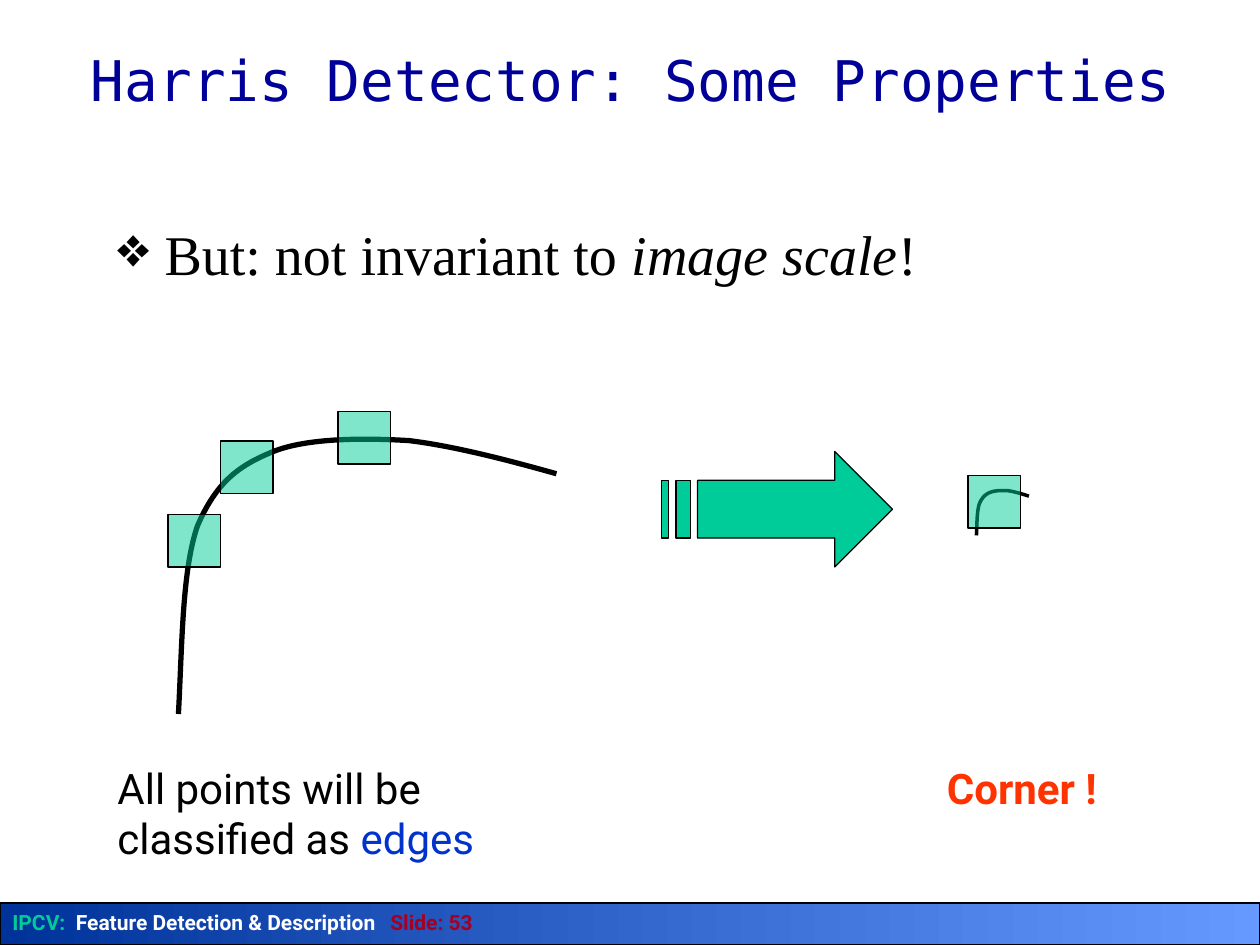
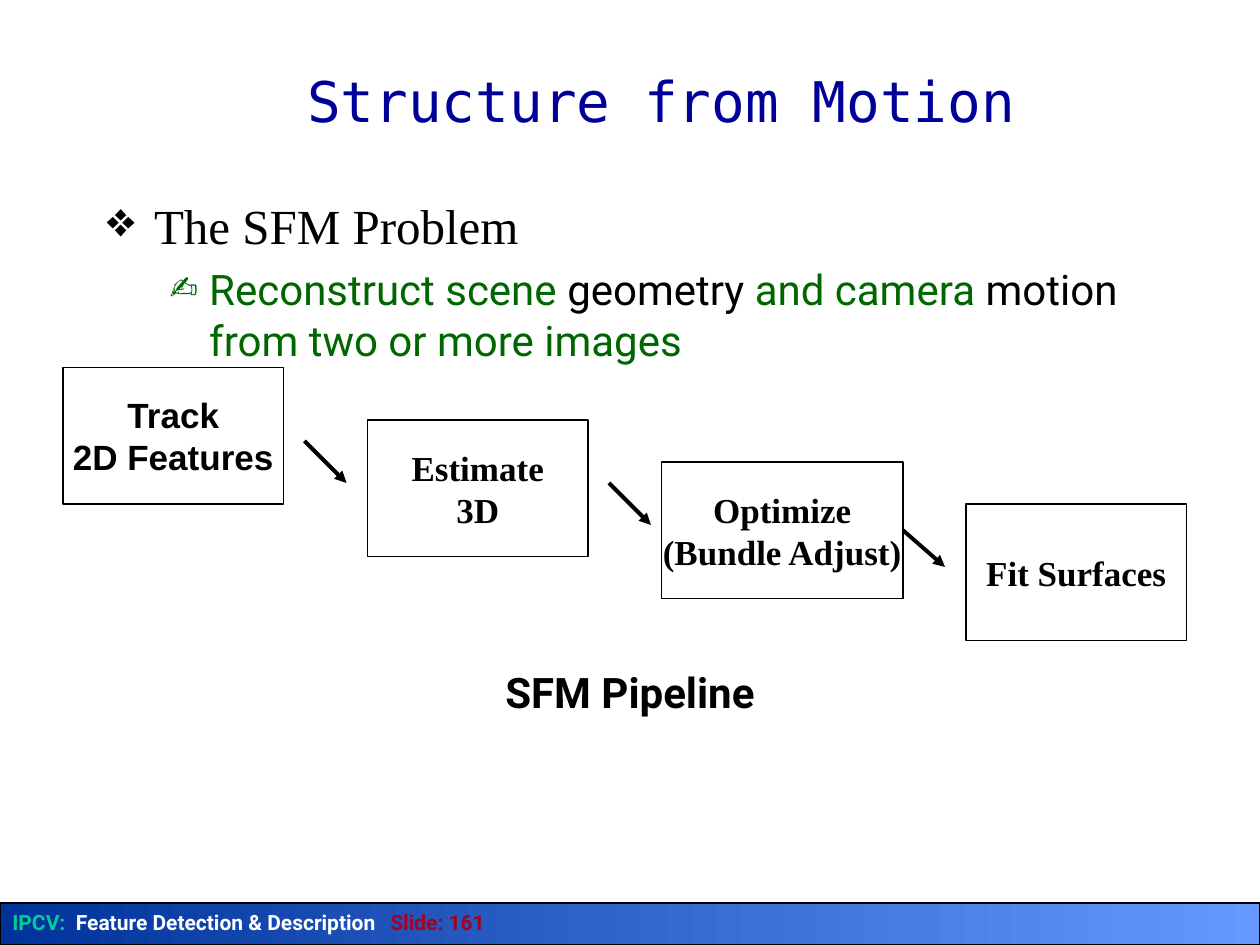
import dataclasses

import lxml.etree
import pptx
import pptx.dml.color
import pptx.enum.shapes
import pptx.enum.text
import pptx.oxml.ns
import pptx.util

qn = pptx.oxml.ns.qn
Pt = pptx.util.Pt
Align = pptx.enum.text.PP_ALIGN
Anchor = pptx.enum.text.MSO_ANCHOR

CURVE = [(0, 1), (.01, .74), (.01, .48), (.05, .32), (.1, .16), (.16, .1), (.25, .05),
         (.34, 0), (.49, 0), (.61, .01), (.73, .03), (.87, .08), (1, .13)]
ARROW = [(24, 0), (24, 1), (5, 1), (5, 3), (24, 3), (24, 4), (32, 2)]
STRIPES = [[(a, 1), (a, 3), (b, 3), (b, 1)] for a, b in ((2, 4), (0, 1))]


@dataclasses.dataclass(frozen=True)
class Theme:
    """Colours, faces and type sizes of the deck."""
    black: str = "000000"
    white: str = "FFFFFF"
    navy: str = "000099"
    deep: str = "003399"
    sky: str = "6699FF"
    mint: str = "00CC99"
    wine: str = "A50021"
    blue: str = "0033CC"
    red: str = "FF3300"
    green: str = "006600"
    mono: str = "DejaVu Sans Mono"
    sans: str = "Roboto"
    serif: str = "Times New Roman"
    plain: str = "Arial"
    huge: int = 32
    large: int = 28
    body: int = 24
    label: int = 20
    small: int = 12


class Deck:
    """Draws on a grid of 120 columns by 90 rows."""

    def __init__(self, theme):
        """Open a blank deck."""
        self.theme = theme
        self.show = pptx.Presentation()
        self.show.slide_width = pptx.util.Inches(10)
        self.show.slide_height = pptx.util.Inches(7.5)
        self.unit = self.show.slide_width // 120
        self.slide = None

    def span(self, *cells):
        """Turn grid cells into lengths."""
        return [round(cell * self.unit) for cell in cells]

    def tint(self, color):
        """Turn a hex code into a colour."""
        return pptx.dml.color.RGBColor.from_string(color)

    def page(self, title, box, number):
        """Start a slide with its title and footer."""
        self.slide = self.show.slides.add_slide(self.show.slide_layouts[5])
        head = self.slide.shapes.title
        head.left, head.top, head.width, head.height = self.span(*box)
        head.text_frame.auto_size = pptx.enum.text.MSO_AUTO_SIZE.NONE
        head.text_frame.vertical_anchor = Anchor.MIDDLE
        t = self.theme
        self.word(head.text_frame.paragraphs[0], [(title, t.navy)], t.huge, t.mono,
                  align=Align.CENTER)
        self.footer(number)

    def footer(self, number):
        """Draw the band at the foot of the slide."""
        t = self.theme
        band = self.block((0, 86, 120, 4), t.deep)
        band.fill.gradient()
        band.fill.gradient_angle = 0
        for stop, color, place in zip(band.fill.gradient_stops, (t.deep, t.sky), (0, 1)):
            stop.color.rgb = self.tint(color)
            stop.position = place
        band.text_frame.vertical_anchor = Anchor.TOP
        parts = [("IPCV: ", t.mint), (" Feature Detection & Description\t", t.white),
                 (f"Slide: {number}", t.wine)]
        self.word(band.text_frame.paragraphs[0], parts, t.small, t.sans, bold=True)

    def word(self, para, parts, size, face, bold=False, align=Align.LEFT,
             bullet=None, indent=(0, 0), space=0):
        """Fill a paragraph with (text, colour[, italic]) parts."""
        para.alignment = align
        if space:
            para.space_before = Pt(space)
        if bullet:
            props = para._p.get_or_add_pPr()
            left, hang = self.span(*indent)
            props.set("marL", str(left))
            props.set("indent", str(hang))
            lxml.etree.SubElement(props, qn("a:buChar")).set("char", bullet)
        font = para.font
        font.size, font.name, font.bold = Pt(size), face, bold
        colors = {part[1] for part in parts}
        if len(colors) == 1:
            font.color.rgb = self.tint(parts[0][1])
        for text, color, *slant in parts:
            run = para.add_run()
            run.text = text
            if len(colors) > 1:
                run.font.color.rgb = self.tint(color)
            if slant:
                run.font.italic = True

    def text(self, box, *paras):
        """Add a text box; each paragraph is a dict for word."""
        frame = self.slide.shapes.add_textbox(*self.span(*box)).text_frame
        frame.word_wrap = True
        for i, para in enumerate(paras):
            self.word(frame.add_paragraph() if i else frame.paragraphs[0], **para)

    def ink(self, shape, fill, width):
        """Set the fill and outline of a shape."""
        shape.shadow.inherit = False
        if fill:
            shape.fill.solid()
            shape.fill.fore_color.rgb = self.tint(fill)
        else:
            shape.fill.background()
        shape.line.color.rgb = self.tint(self.theme.black)
        shape.line.width = Pt(width)

    def block(self, box, fill, width=.75, alpha=None):
        """Add a rectangle."""
        kind = pptx.enum.shapes.MSO_SHAPE.RECTANGLE
        shape = self.slide.shapes.add_shape(kind, *self.span(*box))
        self.ink(shape, fill, width)
        if alpha:
            color = shape._element.spPr.find(f"{qn('a:solidFill')}/{qn('a:srgbClr')}")
            lxml.etree.SubElement(color, qn("a:alpha")).set("val", str(alpha * 1000))
        return shape

    def stage(self, box, lines, face):
        """Add a labelled step of a pipeline."""
        t = self.theme
        shape = self.block(box, t.white, 1)
        frame = shape.text_frame
        frame.word_wrap = False
        frame.vertical_anchor = Anchor.MIDDLE
        for i, line in enumerate(lines):
            para = frame.add_paragraph() if i else frame.paragraphs[0]
            self.word(para, [(line, t.black)], t.label, face, True, Align.CENTER)
        return shape

    def free(self, box, paths, grid=(1, 1), fill=None, width=.75, close=True):
        """Add an outline given on a small grid inside the box."""
        x, y, w, h = box
        paths = [[self.span(x + w * a / grid[0], y + h * b / grid[1]) for a, b in points]
                 for points in paths]
        pen = self.slide.shapes.build_freeform(*paths[0][0])
        for i, points in enumerate(paths):
            if i:
                pen.move_to(*points[0])
            pen.add_line_segments(points[1:], close=close)
        shape = pen.convert_to_shape()
        self.ink(shape, fill, width)
        return shape

    def curve(self, box, points, width):
        """Add an open Bezier curve."""
        shape = self.free(box, [points], width=width, close=False)
        trace = next(shape._element.iter(qn("a:path")))
        legs = trace.findall(qn("a:lnTo"))
        for i in range(0, len(legs), 3):
            bend = lxml.etree.SubElement(trace, qn("a:cubicBezTo"))
            for leg in legs[i:i + 3]:
                bend.append(leg[0])
                trace.remove(leg)

    def arrow(self, x, y, step, source=None):
        """Add a diagonal arrow, joined to a source's right side if given."""
        kind = pptx.enum.shapes.MSO_CONNECTOR.STRAIGHT
        ends = self.span(x, y, x + step, y + step)
        link = self.slide.shapes.add_connector(kind, *ends)
        if source:
            link.begin_connect(source, 3)
        link.line.color.rgb = self.tint(self.theme.black)
        link.line.width = Pt(2.25)
        props = link._element.spPr
        lxml.etree.SubElement(props.find(qn("a:ln")), qn("a:tailEnd")).set("type", "triangle")
        lxml.etree.SubElement(props, qn("a:effectLst"))


def harris(deck):
    """Show that the corner test depends on scale."""
    t = deck.theme
    deck.page("Harris Detector: Some Properties", (6.1, 3.4, 108, 8.3), 53)
    deck.text((10, 20.3, 102, 61), dict(
        parts=[("But: not invariant to ", t.black), ("image scale", t.black, True),
               ("!", t.black)],
        size=t.huge, face=t.serif, bullet="❖", indent=(4.5, -4.5)))
    deck.curve((93, 46.7, 5, 4.3), CURVE, 2)
    deck.curve((17, 41.7, 36, 26.3), CURVE, 3)
    for x, y in ((92.2, 45.3), (16, 49), (21, 42), (32.2, 39.2)):
        deck.block((x, y, 5, 5), t.mint, alpha=50)
    deck.free((63, 43, 22, 11), [ARROW, *STRIPES], (32, 4), t.mint)
    deck.text((10, 72, 42.1, 10.8), dict(
        parts=[("All points will be classified as ", t.black), ("edges", t.blue)],
        size=t.body, face=t.sans))
    deck.text((89, 72, 18, 6), dict(
        parts=[("Corner !", t.red)], size=t.body, face=t.sans, bold=True))


def motion(deck):
    """Show the steps from tracked features to surfaces."""
    t = deck.theme
    deck.page("Structure from Motion", (9, 2, 108, 15), 161)
    deck.text(
        (9, 18, 108, 19.5),
        dict(parts=[("The SFM Problem", t.black)], size=t.large, face=t.serif,
             bullet="❖", indent=(4.5, -4.5)),
        dict(parts=[("Reconstruct scene ", t.green), ("geometry", t.black),
                    (" and camera ", t.green), ("motion", t.black),
                    (" from two or more images", t.green)],
             size=t.body, face=t.sans, bullet="✍", indent=(9.75, -3.75), space=5.6))
    steps = [(6, 35, 21, t.plain, "Track", "2D Features"),
             (35, 40, 21, t.serif, "Estimate", "3D"),
             (63, 44, 23, t.serif, "Optimize", "(Bundle Adjust)"),
             (92, 48, 21, t.serif, "Fit Surfaces")]
    boxes = [deck.stage((x, y, w, 13), lines, face) for x, y, w, face, *lines in steps]
    for i, (x, source) in enumerate(((29, None), (58, None), (86, boxes[2]))):
        deck.arrow(x, 42 + 4 * i, 4, source)
    deck.text((9, 62.9, 102, 20.2), dict(
        parts=[("SFM Pipeline", t.black)], size=t.body, face=t.sans, bold=True,
        align=Align.CENTER))


def main():
    """Build and save the deck."""
    deck = Deck(Theme())
    harris(deck)
    motion(deck)
    deck.show.save("out.pptx")


if __name__ == "__main__":
    main()
